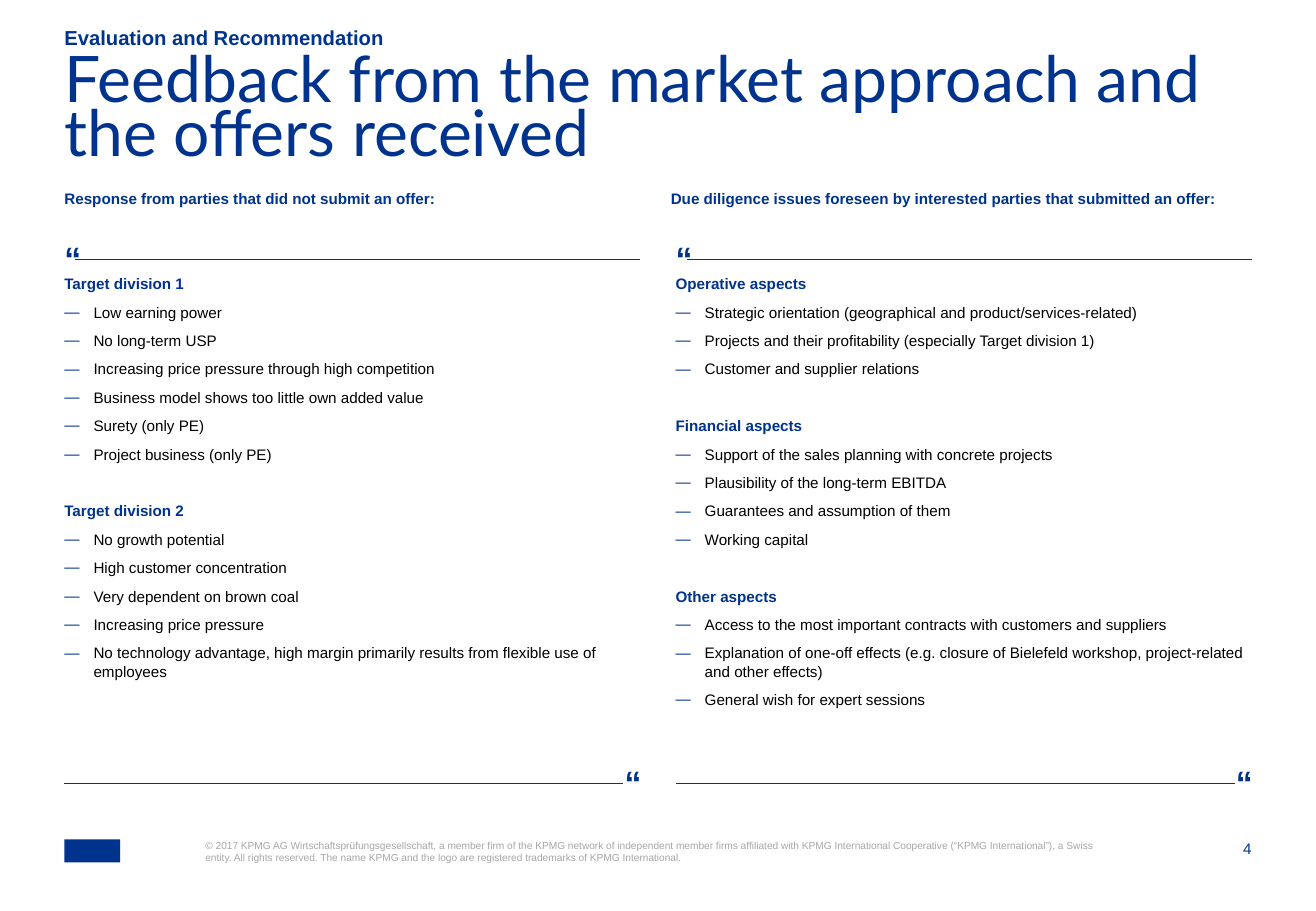
from dataclasses import dataclass

import pptx
import pptx.dml.color
import pptx.enum.shapes
import pptx.enum.text
import pptx.oxml.ns
import pptx.util
from lxml import etree

Inches = pptx.util.Inches
Align = pptx.enum.text.PP_ALIGN
Anchor = pptx.enum.text.MSO_ANCHOR


@dataclass(frozen=True)
class Theme:
    blue: str = "00338D"
    black: str = "000000"
    gray: str = "A6A6A6"
    sans: str = "Arial"
    serif: str = "Lato"
    title: float = 38
    quote: float = 20
    kicker: float = 12
    body: float = 9
    legal: float = 6
    rule: float = 0.5
    after: float = 6
    gap: float = 16.8


@dataclass(frozen=True)
class Style:
    size: float
    color: str
    bold: bool = False
    face: str = "Arial"


@dataclass(frozen=True)
class Group:
    head: str
    items: tuple[str, ...]


@dataclass(frozen=True)
class Column:
    left: float
    lead: float
    label: str
    groups: tuple[Group, ...]


THEME = Theme()
HEAD = Style(THEME.body, THEME.blue, True)
ITEM = Style(THEME.body, THEME.black)
QUOTE = Style(THEME.quote, THEME.blue, True)
WIDTH = 4.74
INSET = 0.09
MARK = 0.14
INDENT = 0.24

COLUMNS = (
    Column(0.53, 0.53, "Response from parties that did not submit an offer:", (
        Group("Target division 1", (
            "Low earning power",
            "No long-term USP",
            "Increasing price pressure through high competition",
            "Business model shows too little own added value",
            "Surety (only PE)",
            "Project business (only PE)",
        )),
        Group("Target division 2", (
            "No growth potential",
            "High customer concentration",
            "Very dependent on brown coal",
            "Increasing price pressure",
            "No technology advantage, high margin primarily results from "
            "flexible use of employees",
        )),
    )),
    Column(5.56, 5.52, "Due diligence issues foreseen by interested parties "
           "that submitted an offer:", (
        Group("Operative aspects", (
            "Strategic orientation (geographical and product/services-related)",
            "Projects and their profitability (especially Target division 1)",
            "Customer and supplier relations",
        )),
        Group("Financial aspects", (
            "Support of the sales planning with concrete projects",
            "Plausibility of the long-term EBITDA",
            "Guarantees and assumption of them",
            "Working capital",
        )),
        Group("Other aspects", (
            "Access to the most important contracts with customers and suppliers",
            "Explanation of one-off effects (e.g. closure of Bielefeld workshop, "
            "project-related and other effects)",
            "General wish for expert sessions",
        )),
    )),
)

LEGAL = (
    "© 2017 KPMG AG Wirtschaftsprüfungsgesellschaft, a member firm of the KPMG "
    "network of independent member firms affiliated with KPMG International "
    "Cooperative (“KPMG International”), a Swiss entity. All rights reserved. "
    "The name KPMG and the logo are registered trademarks of KPMG International."
)


def rgb(color: str) -> pptx.dml.color.RGBColor:
    return pptx.dml.color.RGBColor.from_string(color)


def write(para, text: str, style: Style) -> None:
    para.text = text
    font = para.font
    font.name = style.face
    font.size = pptx.util.Pt(style.size)
    font.bold = style.bold
    font.color.rgb = rgb(style.color)


def add_frame(slide, left: float, top: float, width: float, height: float,
              wrap: bool = True):
    box = slide.shapes.add_textbox(
        Inches(left), Inches(top), Inches(width), Inches(height))
    frame = box.text_frame
    frame.margin_left = frame.margin_right = 0
    frame.margin_top = frame.margin_bottom = 0
    frame.word_wrap = wrap
    return frame


def add_label(slide, left: float, top: float, width: float, height: float,
              text: str, style: Style, wrap: bool = True):
    frame = add_frame(slide, left, top, width, height, wrap)
    write(frame.paragraphs[0], text, style)
    return frame


def add_rule(slide, start: float, end: float, top: float) -> None:
    line = slide.shapes.add_connector(
        pptx.enum.shapes.MSO_CONNECTOR.STRAIGHT,
        Inches(start), Inches(top), Inches(end), Inches(top))
    line.line.color.rgb = rgb(THEME.blue)
    line.line.width = pptx.util.Pt(THEME.rule)
    props = line._element.spPr
    etree.SubElement(props, pptx.oxml.ns.qn("a:effectLst"))


def add_dash(para) -> None:
    qn = pptx.oxml.ns.qn
    props = para._p.get_or_add_pPr()
    props.set("marL", str(Inches(INDENT)))
    props.set("indent", str(-Inches(INDENT)))
    tint = etree.SubElement(props, qn("a:buClr"))
    etree.SubElement(tint, qn("a:srgbClr"), val=THEME.blue)
    etree.SubElement(props, qn("a:buFont"), typeface=THEME.sans)
    etree.SubElement(props, qn("a:buChar"), char="—")


def add_groups(slide, col: Column) -> None:
    frame = add_frame(slide, col.left, 2.26, WIDTH, 4.55)
    for rank, group in enumerate(col.groups):
        para = frame.add_paragraph() if rank else frame.paragraphs[0]
        para.space_after = pptx.util.Pt(THEME.after)
        if rank:
            para.space_before = pptx.util.Pt(THEME.gap)
        write(para, group.head, HEAD)
        for text in group.items:
            para = frame.add_paragraph()
            para.space_after = pptx.util.Pt(THEME.after)
            add_dash(para)
            write(para, text, ITEM)


def add_column(slide, col: Column) -> None:
    right = col.left + WIDTH
    add_label(slide, col.lead, 1.56, 4.78, 0.28, col.label, HEAD)
    add_groups(slide, col)
    for left, top in ((col.left, 1.96), (right - MARK + 0.01, 6.27)):
        add_label(slide, left, top, MARK, 0.34, "“", QUOTE, False)
    add_rule(slide, col.left + INSET, right, 2.14)
    add_rule(slide, col.left, right - MARK, 6.45)


def add_footer(slide) -> None:
    mark = slide.shapes.add_shape(
        pptx.enum.shapes.MSO_SHAPE.RECTANGLE,
        Inches(0.53), Inches(6.91), Inches(0.46), Inches(0.19))
    mark.shadow.inherit = False
    mark.fill.solid()
    mark.fill.fore_color.rgb = rgb(THEME.blue)
    mark.line.fill.background()
    add_label(slide, 1.69, 6.91, 7.49, 0.41, LEGAL,
              Style(THEME.legal, THEME.gray))
    page = add_label(slide, 9.87, 6.91, 0.43, 0.16, "4",
                     Style(THEME.body, THEME.blue))
    page.paragraphs[0].alignment = Align.RIGHT


def main() -> None:
    deck = pptx.Presentation()
    deck.slide_width = Inches(10.83)
    deck.slide_height = Inches(7.5)
    slide = deck.slides.add_slide(deck.slide_layouts[6])
    kicker = add_label(slide, 0.53, 0.22, 9.4, 0.19,
                       "Evaluation and Recommendation",
                       Style(THEME.kicker, THEME.blue, True))
    kicker.vertical_anchor = Anchor.BOTTOM
    title = add_label(slide, 0.53, 0.49, 9.76, 0.79,
                      "Feedback from the market approach and the offers received",
                      Style(THEME.title, THEME.blue, face=THEME.serif))
    title.paragraphs[0].line_spacing = 0.7
    for col in COLUMNS:
        add_column(slide, col)
    add_footer(slide)
    deck.save("out.pptx")


if __name__ == "__main__":
    main()
